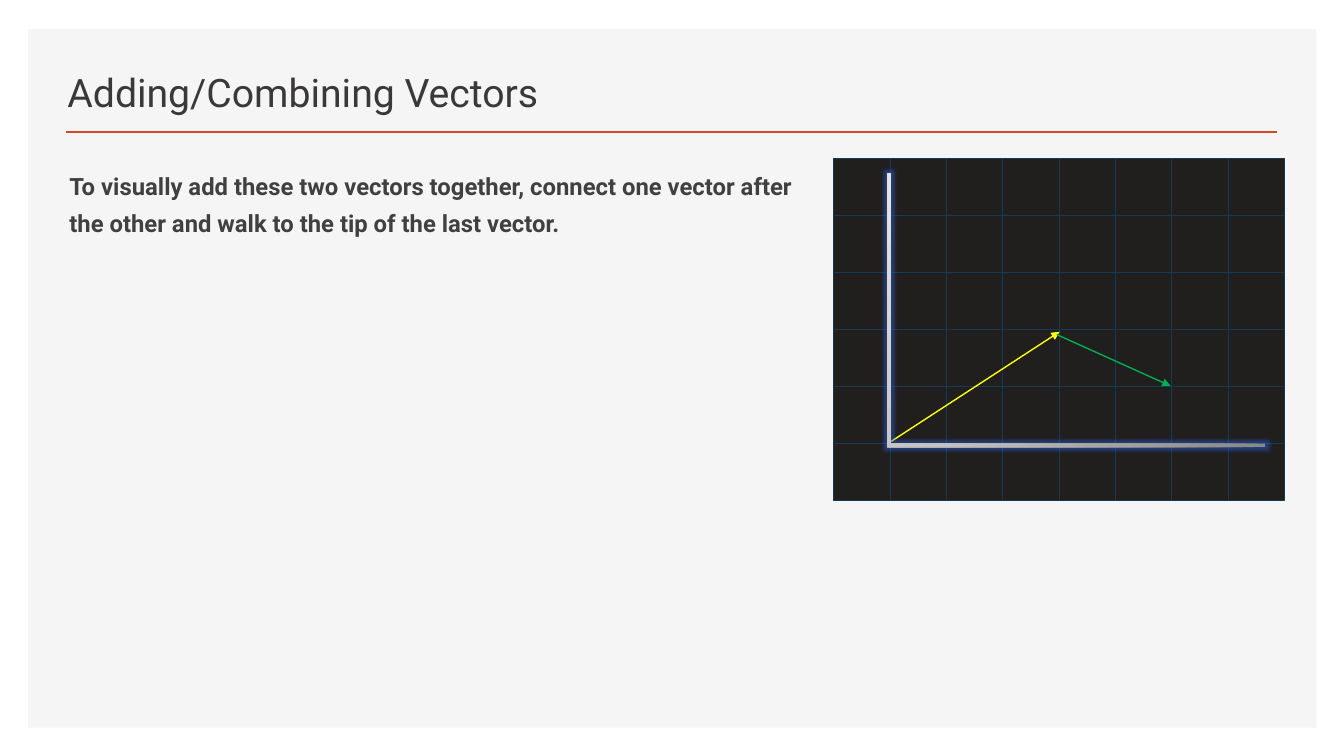
import itertools

import pptx
import pptx.dml.color
import pptx.enum.shapes
import pptx.enum.text
import pptx.oxml
import pptx.oxml.ns
import pptx.util

COLORS = {
    "panel": "F5F5F5", "rule": "D24726", "title": "3B3838", "body": "404040",
    "cell": "201F1E", "grid": "133B57", "first": "FFFF00", "second": "00B050",
    "glow": "2F6BFF", "axis_dark": "898888", "axis_mid": "C3C2C2", "axis_light": "E7E6E6",
}
SHAPES = pptx.enum.shapes.MSO_SHAPE
ANCHORS = pptx.enum.text.MSO_ANCHOR
PLOT_COLUMNS, PLOT_ROWS = 8, 6


def rgb(name):
    return pptx.dml.color.RGBColor.from_string(COLORS[name])


def element(tag, content=""):
    """Build a DrawingML element from its tag with attributes and inner XML."""
    name = tag.split()[0]
    return pptx.oxml.parse_xml(
        f"<a:{tag} {pptx.oxml.ns.nsdecls('a')}>{content}</a:{name}>")


def apply(target, settings):
    for attribute, value in settings.items():
        setattr(target, attribute, value)


class VectorSlide:
    """Places elements on a grid of 100 columns by 100 rows over the slide."""
    font = "Roboto"
    plot_origin = (62.04, 20.93)
    plot_cell = (4.19, 7.55)

    def __init__(self, deck):
        self.unit = (deck.slide_width / 100, deck.slide_height / 100)
        self.slide = deck.slides.add_slide(deck.slide_layouts[6])
        self.shapes = self.slide.shapes

    def emu(self, *lengths):
        """Turn alternating columns and rows into EMU."""
        return [round(n * u) for n, u in zip(lengths, itertools.cycle(self.unit))]

    def plot_size(self, columns, rows):
        return columns * self.plot_cell[0], rows * self.plot_cell[1]

    def plot_point(self, column, row):
        width, height = self.plot_size(column, row)
        return self.plot_origin[0] + width, self.plot_origin[1] + height

    def start_group(self):
        self.shapes = self.slide.shapes.add_group_shape().shapes

    def rectangle(self, box, fill, line=None):
        block = self.shapes.add_shape(SHAPES.RECTANGLE, *self.emu(*box))
        block.shadow.inherit = False
        block.fill.solid()
        block.fill.fore_color.rgb = rgb(fill)
        if line:
            block.line.color.rgb = rgb(line)
            block.line.width = pptx.util.Pt(0.5)
        else:
            block.line.fill.background()

    def line(self, start, end, color, width, arrow=False):
        stroke = self.shapes.add_connector(
            pptx.enum.shapes.MSO_CONNECTOR.STRAIGHT, *self.emu(*start, *end))
        stroke.line.color.rgb = rgb(color)
        stroke.line.width = pptx.util.Pt(width)
        if arrow:
            stroke.line._get_or_add_ln().append(element('tailEnd type="triangle"'))
        stroke._element.spPr.append(element("effectLst"))

    def text(self, box, words, color, size, anchor, bold=False, **spacing):
        frame = self.shapes.add_textbox(*self.emu(*box)).text_frame
        apply(frame, {"word_wrap": True, "vertical_anchor": anchor})
        paragraph = frame.paragraphs[0]
        paragraph.text = words
        apply(paragraph, spacing)
        apply(paragraph.font, {"name": self.font, "size": pptx.util.Pt(size), "bold": bold})
        paragraph.font.color.rgb = rgb(color)

    def axes(self, left, top, right, bottom, thickness):
        """Draw both axes as one thin, glowing L with a gradient."""
        inner_left, inner_bottom = left + thickness, bottom - thickness
        corners = [(left, top), (inner_left, top), (inner_left, inner_bottom),
                   (right, inner_bottom), (right, bottom), (left, bottom)]
        start, *others = [self.emu(*self.plot_point(*corner)) for corner in corners]
        outline = self.shapes.build_freeform(*start)
        outline.add_line_segments(others, close=True)
        axes = outline.convert_to_shape()
        axes.line.fill.background()
        stops = "".join(
            f'<a:gs pos="{share * 1000}"><a:srgbClr val="{COLORS[name]}"/></a:gs>'
            for share, name in ((0, "axis_dark"), (50, "axis_mid"), (100, "axis_light")))
        properties = axes._element.spPr
        properties.find(pptx.oxml.ns.qn("a:ln")).addprevious(element(
            'gradFill rotWithShape="1"',
            f'<a:gsLst>{stops}</a:gsLst><a:lin ang="{225 * 60000}" scaled="0"/>'))
        properties.append(element(
            "effectLst",
            f'<a:glow rad="{pptx.util.Pt(5)}"><a:srgbClr val="{COLORS["glow"]}">'
            '<a:alpha val="40000"/></a:srgbClr></a:glow>'))


def main():
    deck = pptx.Presentation()
    apply(deck, {"slide_width": pptx.util.Inches(13.33),
                 "slide_height": pptx.util.Inches(7.5)})
    page = VectorSlide(deck)

    page.rectangle((2.1, 3.87, 95.85, 92.4), "panel")
    page.line((4.95, 17.47), (95.03, 17.47), "rule", 2)
    page.text((4.28, 6.53, 56.4, 9.33), "Adding/Combining Vectors",
              "title", 28, ANCHORS.BOTTOM)
    page.text((4.43, 20.93, 55.43, 71.33),
              "To visually add these two vectors together, connect one vector after "
              "the other and walk to the tip of the last vector.",
              "body", 17, ANCHORS.TOP, bold=True,
              line_spacing=1.3, space_after=pptx.util.Pt(12))

    page.start_group()
    for row, column in itertools.product(range(PLOT_ROWS), range(PLOT_COLUMNS)):
        page.rectangle((*page.plot_point(column, row), *page.plot_size(1, 1)),
                       "cell", "grid")
    for start, end, color in (((1.02, 4.96), (4.01, 3.04), "first"),
                              ((3.96, 3.09), (5.98, 3.99), "second")):
        page.line(page.plot_point(*start), page.plot_point(*end), color, 1, arrow=True)
    page.axes(left=0.95, top=0.27, right=7.66, bottom=5.06, thickness=0.06)

    deck.save("out.pptx")


if __name__ == "__main__":
    main()
